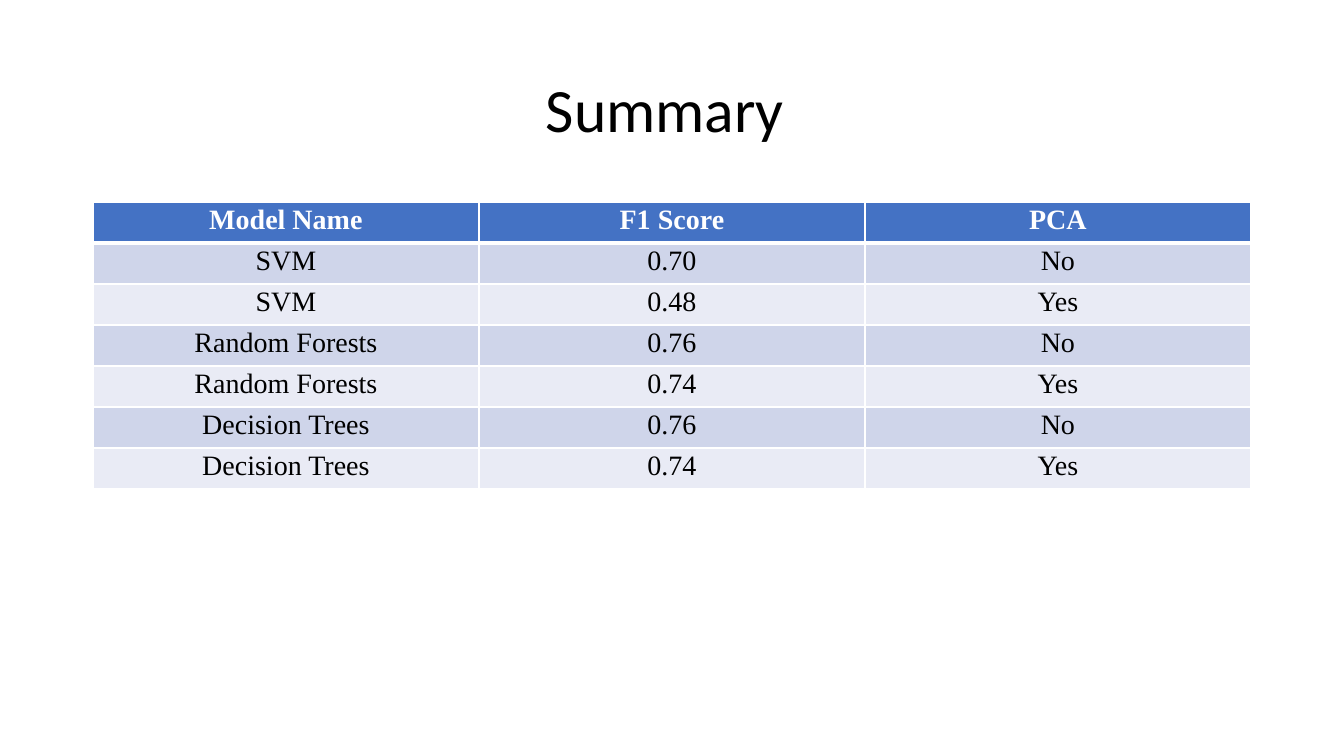
"""Build the model summary slide: a title and a table of scores."""
import lxml.etree
import pptx
import pptx.dml.color
import pptx.enum.text
import pptx.oxml.ns
import pptx.util

PX = 914400 / 100.8
WHITE = pptx.dml.color.RGBColor(0xFF, 0xFF, 0xFF)
BLACK = pptx.dml.color.RGBColor(0x00, 0x00, 0x00)
BLUE = pptx.dml.color.RGBColor(0x44, 0x72, 0xC4)
BAND_DARK = pptx.dml.color.RGBColor(0xCF, 0xD5, 0xEA)
BAND_LIGHT = pptx.dml.color.RGBColor(0xE9, 0xEB, 0xF5)

TITLE_FONT = {"name": "Calibri", "size": pptx.util.Pt(44), "bold": False}
CELL_FONT = {"name": "Times New Roman", "size": pptx.util.Pt(20)}
CELL_MARGINS = {"margin_left": 7, "margin_right": 7, "margin_top": 0, "margin_bottom": 0}

ROWS = [
    ("Model Name", "F1 Score", "PCA"),
    ("SVM", "0.70", "No"),
    ("SVM", "0.48", "Yes"),
    ("Random Forests", "0.76", "No"),
    ("Random Forests", "0.74", "Yes"),
    ("Decision Trees", "0.76", "No"),
    ("Decision Trees", "0.74", "Yes"),
]


def px(n):
    return pptx.util.Emu(round(n * PX))


def set_text(tf, text, spacing, color, fmt):
    p = tf.paragraphs[0]
    p.alignment = pptx.enum.text.PP_ALIGN.CENTER
    p.line_spacing = spacing
    r = p.add_run()
    r.text = text
    r.font.color.rgb = color
    for key, value in fmt.items():
        setattr(r.font, key, value)


def add_title(s, text, left, top, width, height):
    sp = s.shapes.title
    sp.left, sp.top, sp.width, sp.height = map(px, (left, top, width, height))
    sp.text_frame.vertical_anchor = pptx.enum.text.MSO_ANCHOR.MIDDLE
    set_text(sp.text_frame, text, 0.9, BLACK, TITLE_FONT)


def set_borders(cell, widths):
    qn = pptx.oxml.ns.qn
    tc_pr = cell._tc.get_or_add_tcPr()
    for side, width in widths.items():
        ln = lxml.etree.SubElement(tc_pr, qn(f"a:ln{side}"), w=str(pptx.util.Pt(width)))
        fill = lxml.etree.SubElement(ln, qn("a:solidFill"))
        lxml.etree.SubElement(fill, qn("a:srgbClr"), val=str(WHITE))


def format_cell(cell, text, row):
    header = row == 0
    for key, value in CELL_MARGINS.items():
        setattr(cell, key, px(value))
    set_borders(cell, {"L": 1, "R": 1, "T": 3 if row == 1 else 1, "B": 3 if header else 1})
    cell.fill.solid()
    cell.fill.fore_color.rgb = BLUE if header else (BAND_LIGHT, BAND_DARK)[row % 2]
    color = WHITE if header else BLACK
    set_text(cell.text_frame, text, 1.07, color, {**CELL_FONT, "bold": header})


def add_score_table(s, rows, left, top, col_width, row_height):
    n_rows, n_cols = len(rows), len(rows[0])
    size = px(col_width * n_cols), px(row_height * n_rows)
    table = s.shapes.add_table(n_rows, n_cols, px(left), px(top), *size).table
    for col in table.columns:
        col.width = px(col_width)
    for i, values in enumerate(rows):
        table.rows[i].height = px(row_height)
        for j, text in enumerate(values):
            format_cell(table.cell(i, j), text, i)


def main():
    prs = pptx.Presentation()
    prs.slide_width, prs.slide_height = px(1344), px(756)
    s = prs.slides.add_slide(prs.slide_layouts[5])
    add_title(s, "Summary ", 93, 40, 1158, 146)
    add_score_table(s, ROWS, 93, 202, 386, 41)
    prs.save("out.pptx")


if __name__ == "__main__":
    main()
